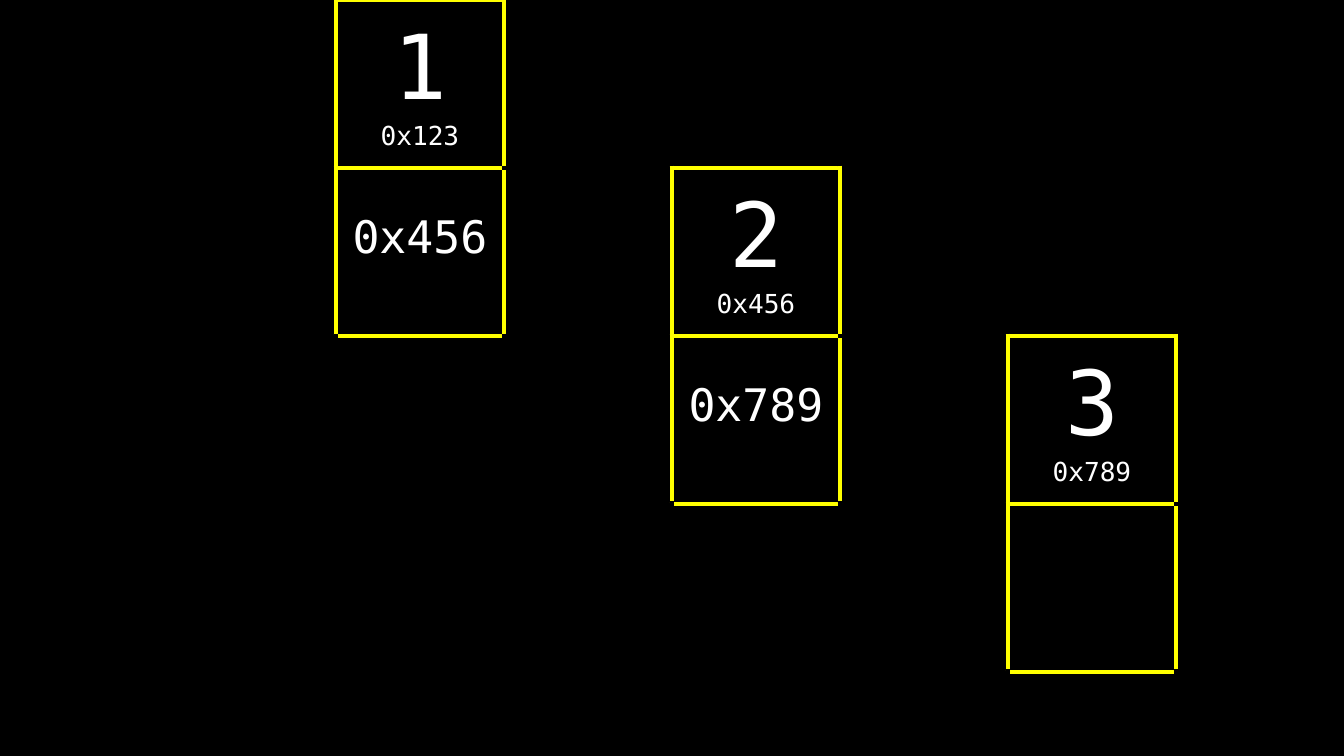
from dataclasses import dataclass

from lxml import etree
from pptx import Presentation
from pptx.dml.color import RGBColor
from pptx.enum import text
from pptx.oxml import ns
from pptx.util import Pt

FONT = "DejaVu Sans Mono"
BLACK, WHITE, YELLOW = "000000", "FFFFFF", "FFFF00"
CELL = 90
ROWS, COLUMNS = 5, 8
PLAIN_STYLE = "{2D5ABB26-0587-4C30-8999-92F81FD0307C}"
SIDES = {"lnL": (0, -1), "lnR": (0, 1), "lnT": (-1, 0), "lnB": (1, 0)}


@dataclass
class Node:
    row: int
    column: int
    value: str
    address: str
    next_address: str

    def covers(self, row: int, column: int) -> bool:
        return column == self.column and row in (self.row, self.row + 1)


NODES = [
    Node(0, 2, "1", "0x123", "0x456"),
    Node(1, 4, "2", "0x456", "0x789"),
    Node(2, 6, "3", "0x789", ""),
]


def color(value: str) -> RGBColor:
    return RGBColor.from_string(value)


def in_node(row: int, column: int) -> bool:
    return any(node.covers(row, column) for node in NODES)


def draw_borders(cell, row: int, column: int) -> None:
    properties = cell._tc.get_or_add_tcPr()
    for side, (down, right) in SIDES.items():
        bordered = in_node(row, column) or in_node(row + down, column + right)
        line = etree.SubElement(properties, ns.qn(f"a:{side}"), w=str(Pt(3)))
        fill = etree.SubElement(line, ns.qn("a:solidFill"))
        etree.SubElement(fill, ns.qn("a:srgbClr"), val=YELLOW if bordered else BLACK)


def write_cell(cell, lines: list[tuple[str, int]], anchor, bottom: float = 7.2) -> None:
    cell.vertical_anchor = anchor
    cell.margin_left = cell.margin_right = cell.margin_top = Pt(7.2)
    cell.margin_bottom = Pt(bottom)
    cell.text_frame.text = "\n".join(words for words, _ in lines)
    for para, (_, size) in zip(cell.text_frame.paragraphs, lines):
        para.alignment = text.PP_ALIGN.CENTER
        for span in para.runs:
            span.font.name = FONT
            span.font.size = Pt(size)
            span.font.color.rgb = color(WHITE)


def draw_node(table, node: Node) -> None:
    write_cell(table.cell(node.row, node.column),
               [(node.value, 48), (node.address, 14)], text.MSO_ANCHOR.MIDDLE)
    if node.next_address:
        write_cell(table.cell(node.row + 1, node.column),
                   [(node.next_address, 24)], text.MSO_ANCHOR.BOTTOM, bottom=38.6)


def add_memory_grid(page):
    frame = page.shapes.add_table(ROWS, COLUMNS, Pt(0), Pt(0),
                                  Pt(COLUMNS * CELL), Pt(ROWS * CELL))
    table = frame.table
    table.first_row = table.horz_banding = False
    table._tbl.tblPr.find(ns.qn("a:tableStyleId")).text = PLAIN_STYLE
    for row in range(ROWS):
        for column in range(COLUMNS):
            cell = table.cell(row, column)
            draw_borders(cell, row, column)
            cell.fill.background()
    return table


def main() -> None:
    deck = Presentation()
    deck.slide_width, deck.slide_height = Pt(720), Pt(405)
    page = deck.slides.add_slide(deck.slide_layouts[6])
    page.background.fill.solid()
    page.background.fill.fore_color.rgb = color(BLACK)
    table = add_memory_grid(page)
    for node in NODES:
        draw_node(table, node)
    deck.save("out.pptx")


if __name__ == "__main__":
    main()
